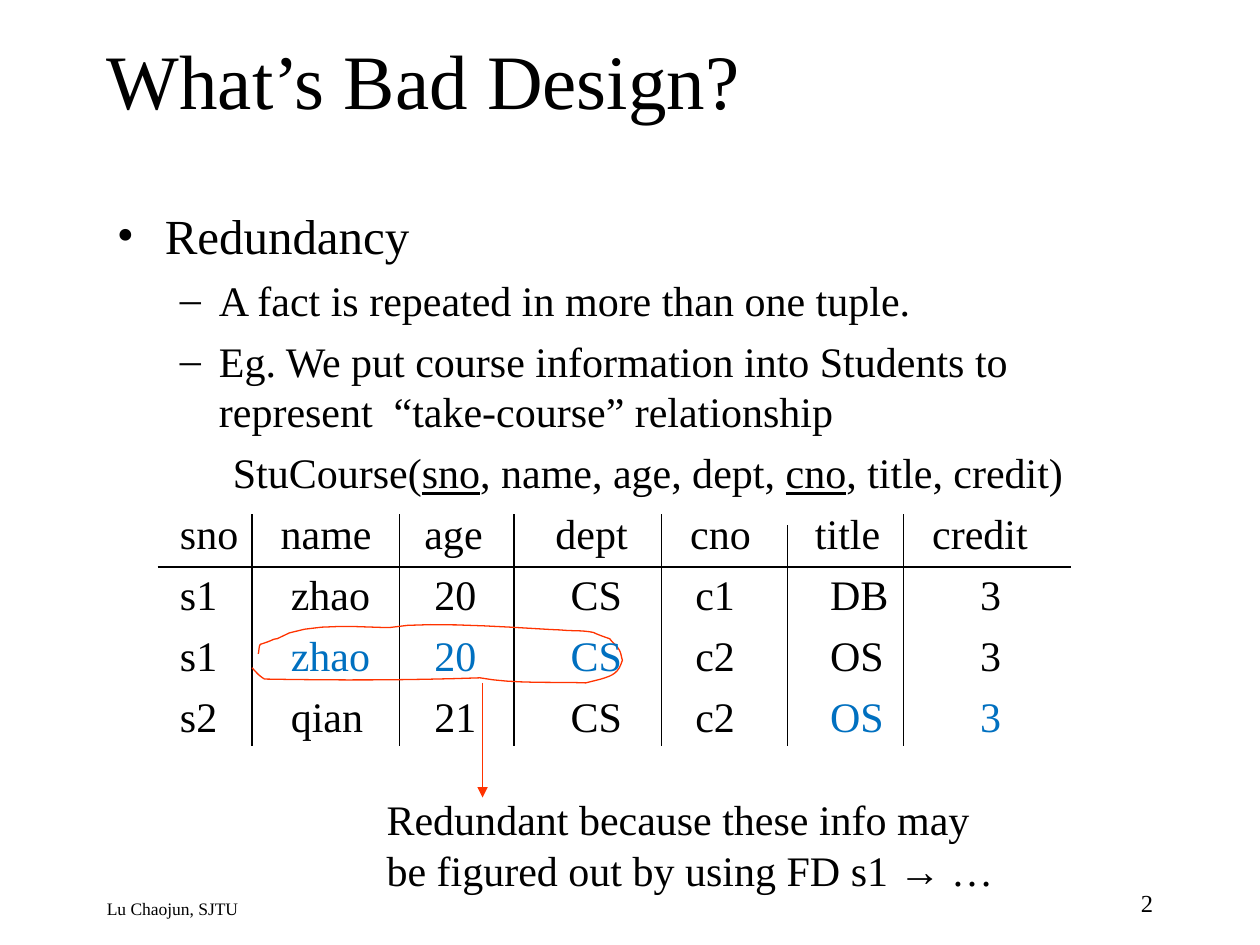
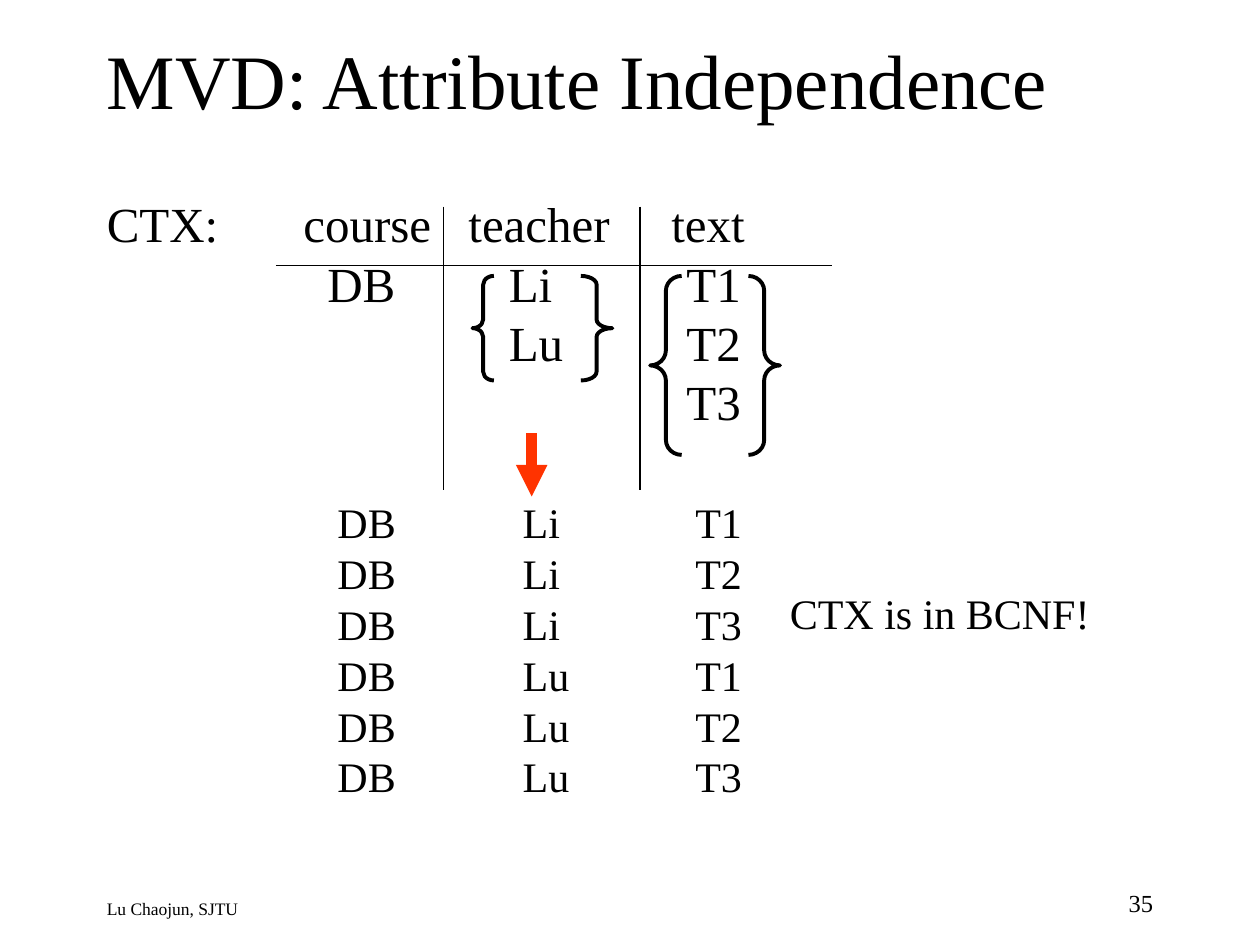
"""Build two lecture slides on redundancy and multivalued dependencies."""
from lxml import etree
from pptx import Presentation
from pptx.dml.color import RGBColor
from pptx.enum.shapes import MSO_CONNECTOR, MSO_SHAPE
from pptx.enum.text import MSO_ANCHOR, PP_ALIGN
from pptx.oxml.ns import qn
from pptx.util import Inches, Pt

STRAIGHT = MSO_CONNECTOR.STRAIGHT
LEFT_BRACE, RIGHT_BRACE = MSO_SHAPE.LEFT_BRACE, MSO_SHAPE.RIGHT_BRACE
MIDDLE, TOP = MSO_ANCHOR.MIDDLE, MSO_ANCHOR.TOP
LEFT, RIGHT = PP_ALIGN.LEFT, PP_ALIGN.RIGHT

BLACK = RGBColor(0x00, 0x00, 0x00)
BLUE = RGBColor(0x00, 0x70, 0xC0)
RED = RGBColor(0xFF, 0x33, 0x00)
SERIF, SANS = "Times New Roman", "Arial"

PLAIN, KEY, REPEATED, SYMBOL = {}, {"underline": True}, {"color": BLUE}, {"font": SANS}

FOOTER = "Lu Chaojun, SJTU"
TITLE_BOX = (0.75, 0, 8.5, 1.25)
FOOTER_BOX = (0.75, 7.08, 5.8, 0.25)
NUMBER_BOX = (7.17, 7, 2.08, 0.33)

POINT = {"size": 28, "margin": 0.38, "indent": -0.38, "bullet": "•"}
SUBPOINT = {"size": 24, "margin": 0.81, "indent": -0.31, "bullet": "–", "before": 6}
SCHEMA = {"size": 24, "before": 6, "tabs": (0.92,)}
STUDENT_HEAD = {"size": 24, "before": 6,
                "tabs": (0.5, 1.3, 2.44, 3.48, 4.55, 5.54, 6.47)}
STUDENT_ROW = {**STUDENT_HEAD, "tabs": (0.5, 1.38, 2.52, 3.6, 4.59, 5.66, 6.85)}

REDUNDANCY = [
    ("Redundancy", POINT),
    ("A fact is repeated in more than one tuple.", SUBPOINT),
    ("Eg. We put course information into Students to represent  “take-course” relationship", SUBPOINT),
    ([("\tStuCourse(", PLAIN), ("sno", KEY), (", name, age, dept, ", PLAIN),
      ("cno", KEY), (", title, credit)", PLAIN)], SCHEMA),
    ("\tsno\tname\tage\tdept\tcno\ttitle\tcredit", STUDENT_HEAD),
    ("\ts1\tzhao\t20\tCS\tc1\tDB\t3", STUDENT_ROW),
    ([("\ts1\t", PLAIN), ("zhao\t20\tCS", REPEATED), ("\tc2\tOS\t3", PLAIN)], STUDENT_ROW),
    ([("\ts2\tqian\t21\tCS\tc2\t", PLAIN), ("OS\t3", REPEATED)], STUDENT_ROW),
]
REASON = [("Redundant because these info may be figured out by using FD s1 ", PLAIN),
          ("→", SYMBOL), (" …", PLAIN)]
STUDENT_RULES = [(2, 4.08), (3.17, 4.08), (4.08, 4.08), (5.25, 4.08), (6.25, 4.17), (7.17, 4.08)]

LOOP_START = (2.05, 5.19)
LOOP_CURVES = [
    ((2.06, 5.16), (2.05, 5.11), (2.08, 5.11)),
    ((2.11, 5.1), (2.14, 5.09), (2.16, 5.08)),
    ((2.18, 5.07), (2.2, 5.07), (2.2, 5.07)),
    ((2.42, 4.92), (2.99, 4.99), (3.1, 4.98)),
    ((3.39, 4.92), (4.33, 5), (4.45, 5)),
    ((4.53, 5.01), (4.62, 5), (4.71, 5.02)),
    ((4.75, 5.04), (4.84, 5.07), (4.84, 5.07)),
    ((4.86, 5.1), (4.89, 5.12), (4.91, 5.15)),
    ((4.93, 5.18), (4.93, 5.21), (4.94, 5.24)),
    ((4.91, 5.34), (4.87, 5.36), (4.77, 5.39)),
    ((4.73, 5.4), (4.65, 5.42), (4.65, 5.42)),
    ((4.4, 5.41), (4.08, 5.43), (3.81, 5.38)),
    ((3.22, 5.4), (2.72, 5.4), (2.1, 5.39)),
    ((2.05, 5.36), (2.03, 5.33), (2, 5.3)),
]
CURVE_STEPS = 8

CTX_HEAD = {"size": 28, "spacing": 0.8, "tabs": (1.56, 2.87, 4.48)}
CTX_SETS = {**CTX_HEAD, "before": 7, "tabs": (1.75, 3.19, 4.6)}
CTX_ROW = {"size": 24, "spacing": 0.8, "before": 6, "tabs": (1.83, 3.3, 4.67)}
CTX_FIRST_ROW = {**CTX_ROW, "before": 43.5}

TEACHERS, TEXTS = ("Li", "Lu"), ("T1", "T2", "T3")
CTX_TUPLES = [f"\tDB\t{teacher}\t{text}" for teacher in TEACHERS for text in TEXTS]
INDEPENDENCE = [
    ("CTX:\tcourse\tteacher\ttext", CTX_HEAD),
    ("\tDB\tLi\tT1", CTX_SETS),
    ("\t\tLu\tT2", CTX_SETS),
    ("\t\t\tT3", CTX_SETS),
    (CTX_TUPLES[0], CTX_FIRST_ROW),
    *[(row, CTX_ROW) for row in CTX_TUPLES[1:]],
]
CTX_RULES = [3.52, 5.08]
BRACE_TOP = 2.19
BRACES = [(LEFT_BRACE, 3.75, 0.17, 0.83), (RIGHT_BRACE, 4.61, 0.25, 0.83),
          (LEFT_BRACE, 5.16, 0.25, 1.42), (RIGHT_BRACE, 5.94, 0.25, 1.42)]


def format_paragraph(paragraph, margin=0, indent=0, bullet=None, tabs=(), before=0, spacing=None):
    properties = paragraph._p.get_or_add_pPr()
    if bullet:
        properties.set("marL", str(Inches(margin)))
        properties.set("indent", str(Inches(indent)))
        etree.SubElement(properties, qn("a:buFont"), typeface=SERIF)
        etree.SubElement(properties, qn("a:buChar"), char=bullet)
    if tabs:
        stops = etree.SubElement(properties, qn("a:tabLst"))
        for stop in tabs:
            etree.SubElement(stops, qn("a:tab"), pos=str(Inches(stop)), algn="l")
    paragraph.space_before = Pt(before)
    if spacing:
        paragraph.line_spacing = spacing


def add_text(slide, box, paragraphs, anchor=TOP, align=LEFT):
    frame = slide.shapes.add_textbox(*map(Inches, box)).text_frame
    frame.word_wrap = True
    frame.vertical_anchor = anchor
    for index, (content, style) in enumerate(paragraphs):
        paragraph = frame.add_paragraph() if index else frame.paragraphs[0]
        layout = {key: value for key, value in style.items() if key != "size"}
        format_paragraph(paragraph, **layout)
        paragraph.alignment = align
        pieces = [(content, PLAIN)] if isinstance(content, str) else content
        for text, look in pieces:
            run = paragraph.add_run()
            run.text = text
            run.font.size = Pt(style["size"])
            run.font.name = look.get("font", SERIF)
            run.font.color.rgb = look.get("color", BLACK)
            run.font.underline = look.get("underline")


def add_line(slide, start, end, color=BLACK, width=0.75, arrow=False):
    line = slide.shapes.add_connector(STRAIGHT, *map(Inches, start + end))
    line.line.color.rgb = color
    line.line.width = Pt(width)
    if arrow:
        etree.SubElement(line.line._get_or_add_ln(), qn("a:tailEnd"), type="triangle")
    etree.SubElement(line._element.spPr, qn("a:effectLst"))


def style_outline(shape, color, width):
    shape.shadow.inherit = False
    shape.fill.background()
    shape.line.color.rgb = color
    shape.line.width = Pt(width)


def add_loop(slide):
    points, start = [], LOOP_START
    for first, second, end in LOOP_CURVES:
        for step in range(1, CURVE_STEPS + 1):
            t = step / CURVE_STEPS
            weights = ((1 - t) ** 3, 3 * t * (1 - t) ** 2, 3 * t ** 2 * (1 - t), t ** 3)
            corners = (start, first, second, end)
            points.append(tuple(Inches(sum(w * corner[axis] for w, corner in zip(weights, corners)))
                                for axis in (0, 1)))
        start = end
    builder = slide.shapes.build_freeform(*map(Inches, LOOP_START))
    builder.add_line_segments(points, close=False)
    style_outline(builder.convert_to_shape(), RED, 0.75)


def add_brace(slide, kind, left, width, height):
    brace = slide.shapes.add_shape(kind, *map(Inches, (left, BRACE_TOP, width, height)))
    brace.adjustments[0] = height / width / 12
    style_outline(brace, BLACK, 2.25)


def add_slide(deck, title, number):
    slide = deck.slides.add_slide(deck.slide_layouts[6])
    add_text(slide, FOOTER_BOX, [(FOOTER, {"size": 10})])
    add_text(slide, NUMBER_BOX, [(number, {"size": 14})], align=RIGHT)
    add_text(slide, TITLE_BOX, [(title, {"size": 44})], anchor=MIDDLE)
    return slide


def build_redundancy(deck):
    slide = add_slide(deck, "What’s Bad Design?", "2")
    add_line(slide, (1.25, 4.5), (8.5, 4.5))
    for x, top in STUDENT_RULES:
        add_line(slide, (x, top), (x, 5.92))
    add_loop(slide)
    add_line(slide, (3.83, 5.42), (3.83, 6.33), RED, arrow=True)
    add_text(slide, (2.97, 6.25, 5.19, 0.9), [(REASON, {"size": 24})])
    add_text(slide, (0.83, 1.58, 8.5, 5.08), REDUNDANCY)


def build_independence(deck):
    slide = add_slide(deck, "MVD: Attribute Independence", "35")
    add_text(slide, (0.75, 1.58, 8.5, 5.08), INDEPENDENCE)
    add_line(slide, (2.19, 2.11), (6.6, 2.11))
    for x in CTX_RULES:
        add_line(slide, (x, 1.64), (x, 3.89))
    for brace in BRACES:
        add_brace(slide, *brace)
    add_line(slide, (4.22, 3.44), (4.22, 3.94), RED, 6, arrow=True)
    add_text(slide, (6.17, 4.61, 2.92, 0.5), [("CTX is in BCNF!", {"size": 24})])


def main():
    deck = Presentation()
    deck.slide_width, deck.slide_height = Inches(10), Inches(7.5)
    build_redundancy(deck)
    build_independence(deck)
    deck.save("out.pptx")


if __name__ == "__main__":
    main()
